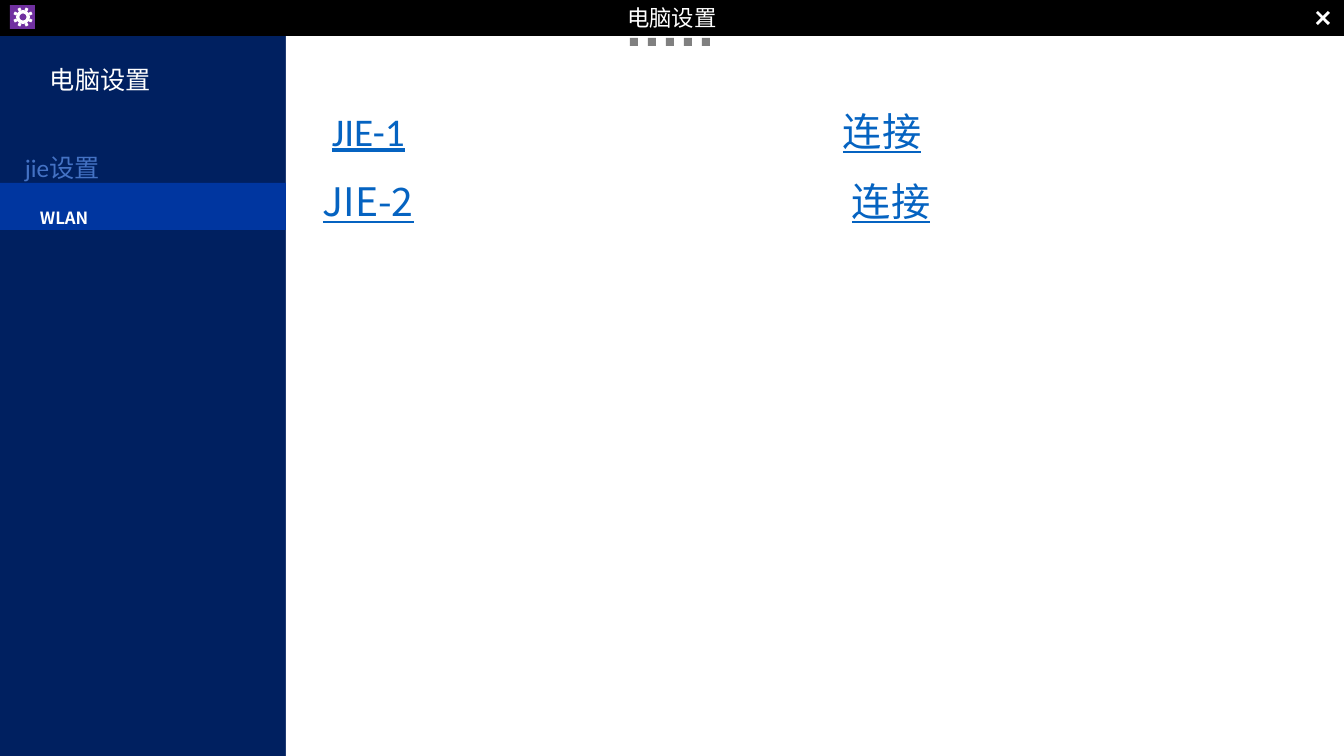
"""Build a settings screen slide with a sidebar and two wireless networks."""
import math
from dataclasses import dataclass

import lxml.etree
import pptx
import pptx.dml.color
import pptx.enum.shapes
import pptx.enum.text
import pptx.oxml.ns
import pptx.util

EMU_PER_PX = 914400 / 100.8
COLORS = {
    "navy": "002060", "white": "FFFFFF", "black": "000000", "selected": "0036A0",
    "link": "0563C1", "heading": "4472C4", "gray": "808080", "purple": "7030A0",
}
CJK = "Noto Sans CJK SC"
LATIN = "Calibri"
SHAPES = pptx.enum.shapes.MSO_SHAPE
ALIGN = pptx.enum.text.PP_ALIGN
ANCHOR = pptx.enum.text.MSO_ANCHOR


@dataclass
class Box:
    left: int
    top: int
    width: int
    height: int


@dataclass
class Span:
    text: str
    font: str = CJK
    underline: bool = False


@dataclass
class Network:
    top: int
    name: str
    font: str
    name_stop: int
    rule_stop: int
    action_stop: int


NETWORKS = [
    Network(102, "JIE-1", LATIN, 36, 538, 547),
    Network(172, "JIE-2", CJK, 27, 547, 556),
]


def px(length: float) -> pptx.util.Emu:
    return pptx.util.Emu(round(length * EMU_PER_PX))


def rgb(name: str) -> pptx.dml.color.RGBColor:
    return pptx.dml.color.RGBColor.from_string(COLORS[name])


def paint(shape, color: str) -> None:
    shape.shadow.inherit = False
    shape.fill.solid()
    shape.fill.fore_color.rgb = rgb(color)
    shape.line.fill.background()


def add_block(shapes, box: Box, color: str, kind=SHAPES.RECTANGLE):
    shape = shapes.add_shape(kind, px(box.left), px(box.top), px(box.width), px(box.height))
    paint(shape, color)
    return shape


def write(shape, spans: list[Span], *, size: int, color: str, bold: bool = False,
          align=ALIGN.LEFT, indent: int = 0, stops: tuple[int, ...] = ()) -> None:
    shape.text_frame.word_wrap = True
    para = shape.text_frame.paragraphs[0]
    para.alignment = align
    properties = para._p.get_or_add_pPr()
    if indent:
        properties.set("marL", str(px(indent)))
    if stops:
        tabs = lxml.etree.SubElement(properties, pptx.oxml.ns.qn("a:tabLst"))
        for stop in stops:
            lxml.etree.SubElement(tabs, pptx.oxml.ns.qn("a:tab"), pos=str(px(stop)), algn="l")
    for span in spans:
        run = para.add_run()
        run.text = span.text
        run.font.size = pptx.util.Pt(size)
        run.font.name = span.font
        run.font.bold = bold
        run.font.underline = span.underline
        run.font.color.rgb = rgb(color)
        lxml.etree.SubElement(run._r.get_or_add_rPr(), pptx.oxml.ns.qn("a:ea"), typeface=CJK)


def add_label(shapes, box: Box, spans: list[Span], **style) -> None:
    label = shapes.add_textbox(px(box.left), px(box.top), px(box.width), px(box.height))
    write(label, spans, **style)
    label.text_frame.auto_size = pptx.enum.text.MSO_AUTO_SIZE.SHAPE_TO_FIT_TEXT


def add_close_mark(shapes, center_x: int, center_y: int) -> None:
    arm = [(0, -2), (5, -7), (7, -5)]
    points = []
    for _ in range(4):
        points += [(center_x + x, center_y + y) for x, y in arm]
        arm = [(-y, x) for x, y in arm]
    builder = shapes.build_freeform(*points[0], scale=EMU_PER_PX)
    builder.add_line_segments(points[1:], close=True)
    paint(builder.convert_to_shape(), "white")


def add_gear(shapes, center_x: int, center_y: int) -> None:
    gear = shapes.add_group_shape().shapes
    add_block(gear, Box(center_x - 13, center_y - 12, 25, 24), "purple")
    ring = add_block(gear, Box(center_x - 7, center_y - 7, 14, 14), "white", SHAPES.DONUT)
    ring.adjustments[0] = 0.245
    for angle in (25, 65, 115, 155, 205, 245, 295, 335):
        left = round(center_x + 8 * math.sin(math.radians(angle)) - 1.5)
        top = round(center_y - 8 * math.cos(math.radians(angle)) - 1.5)
        add_block(gear, Box(left, top, 3, 3), "white").rotation = angle


def add_network(shapes, network: Network) -> None:
    spans = [
        Span(f"\t{network.name}", network.font, True),
        Span("\t", underline=True),
        Span("\t"),
        Span("连接", underline=True),
    ]
    add_label(shapes, Box(286, network.top, 892, 57), spans, size=28, color="link",
              stops=(network.name_stop, network.rule_stop, network.action_stop))


def main() -> None:
    deck = pptx.Presentation()
    deck.slide_width, deck.slide_height = px(1344), px(756)
    page = deck.slides.add_slide(deck.slide_layouts[6])
    page.background.fill.solid()
    page.background.fill.fore_color.rgb = rgb("navy")
    shapes = page.shapes

    add_block(shapes, Box(286, 0, 1058, 756), "white")
    title_bar = add_block(shapes, Box(0, 0, 1344, 35), "black")
    title_bar.line.color.rgb = rgb("black")
    title_bar.line.width = pptx.util.Pt(1)
    title_bar.text_frame.vertical_anchor = ANCHOR.MIDDLE
    write(title_bar, [Span("电脑设置")], size=16, color="white", align=ALIGN.CENTER)
    add_close_mark(shapes, 1323, 18)

    add_label(shapes, Box(40, 59, 203, 40), [Span("电脑设置")], size=18, color="white")
    selected = add_block(shapes, Box(0, 183, 286, 47), "selected")
    selected.text_frame.vertical_anchor = ANCHOR.BOTTOM
    selected.text_frame.margin_bottom = px(2)
    write(selected, [Span("WLAN")], size=12, color="white", bold=True, indent=30)

    for network in NETWORKS:
        add_network(shapes, network)
    for index in range(5):
        add_block(shapes, Box(630 + 18 * index, 38, 8, 8), "gray")
    add_gear(shapes, 23, 17)
    add_label(shapes, Box(15, 147, 232, 72), [Span("jie设置", LATIN)], size=18, color="heading")
    deck.save("out.pptx")


if __name__ == "__main__":
    main()
